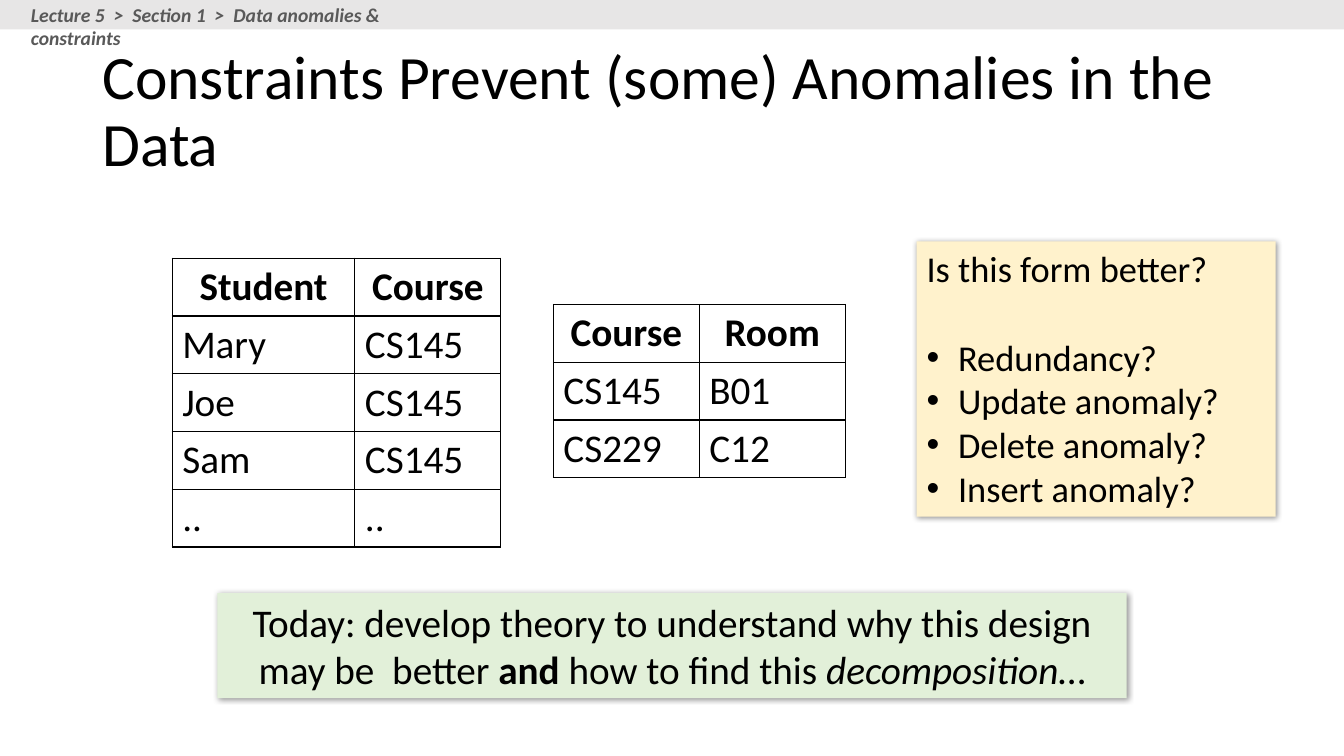
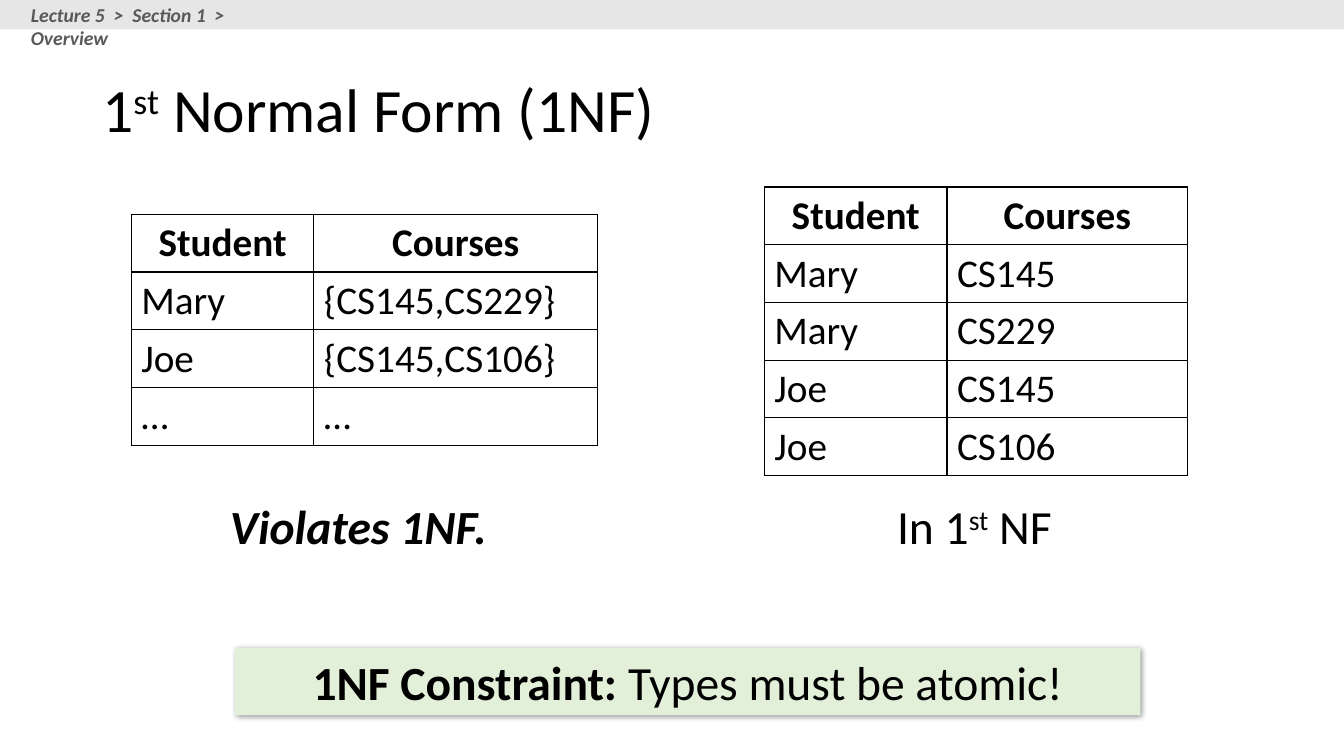
"""Build two lecture slides on data anomalies and first normal form."""
from lxml import etree
from pptx import Presentation
from pptx.dml.color import RGBColor
from pptx.enum.shapes import MSO_SHAPE
from pptx.enum.text import MSO_ANCHOR, PP_ALIGN
from pptx.oxml import parse_xml
from pptx.oxml.ns import nsdecls, qn
from pptx.util import Pt

PX = 9525
SLIDE_W, SLIDE_H = 1280, 720
FONT = "Calibri"
COLORS = {"text": "000000", "crumb": "595959", "band": "E7E6E6",
          "green": "E2F0D9", "yellow": "FFF2CC"}
RECT = MSO_SHAPE.RECTANGLE
LEFT, CENTER = PP_ALIGN.LEFT, PP_ALIGN.CENTER
TOP, MIDDLE = MSO_ANCHOR.TOP, MSO_ANCHOR.MIDDLE
TABLE_SIZE, LABEL_SIZE = 28, 34
ROW_H = 55
BULLET_INDENT = 30


def emu(*lengths):
    """Turn px lengths into EMU."""
    return [length * PX for length in lengths]


def rgb(name):
    """Look up a colour by name."""
    return RGBColor.from_string(COLORS[name])


def style_run(r, size, style="", color="text"):
    """Format a run; style may hold b (bold), i (italic) and ^ (superscript)."""
    r.font.name = FONT
    r.font.size = Pt(size)
    r.font.color.rgb = rgb(color)
    r.font.bold = "b" in style
    r.font.italic = "i" in style
    if "^" in style:
        r.font._element.set("baseline", "30000")


def write(p, runs, size, align=LEFT, color="text"):
    """Fill a paragraph with (text, style) runs."""
    p.alignment = align
    for text, style in runs:
        r = p.add_run()
        r.text = text
        style_run(r, size, style, color)


def add_text(slide, box, runs, size, align=LEFT, color="text", anchor=TOP):
    """Add a wrapped one-paragraph text box."""
    tf = slide.shapes.add_textbox(*emu(*box)).text_frame
    tf.word_wrap = True
    tf.vertical_anchor = anchor
    write(tf.paragraphs[0], runs, size, align, color)
    return tf


def add_rect(slide, box, fill):
    """Add a plain filled rectangle."""
    sp = slide.shapes.add_shape(RECT, *emu(*box))
    sp.shadow.inherit = False
    sp.fill.solid()
    sp.fill.fore_color.rgb = rgb(fill)
    sp.line.fill.background()
    return sp


def add_callout(slide, box, fill, runs, size, align=CENTER):
    """Add a filled box with a soft shadow and text."""
    sp = add_rect(slide, box, fill)
    effects = sp._element.spPr.find(qn("a:effectLst"))
    effects.append(parse_xml(
        f'<a:outerShdw {nsdecls("a")} blurRad="50800" dist="12700" dir="2700000">'
        '<a:srgbClr val="000000"><a:alpha val="40000"/></a:srgbClr></a:outerShdw>'))
    tf = sp.text_frame
    tf.word_wrap = True
    tf.vertical_anchor = TOP
    write(tf.paragraphs[0], runs, size, align)
    return tf


def add_bullets(tf, items, size):
    """Append bulleted paragraphs to a text frame."""
    for item in items:
        p = tf.add_paragraph()
        write(p, [(item, "")], size)
        pPr = p._p.get_or_add_pPr()
        pPr.set("marL", str(BULLET_INDENT * PX))
        pPr.set("indent", str(-BULLET_INDENT * PX))
        etree.SubElement(pPr, qn("a:buFont")).set("typeface", "Arial")
        etree.SubElement(pPr, qn("a:buChar")).set("char", "•")


def add_borders(cell):
    """Draw a 1 pt line on every side of a cell."""
    tcPr = cell._tc.get_or_add_tcPr()
    for side in "LRTB":
        tcPr.append(parse_xml(
            f'<a:ln{side} {nsdecls("a")} w="12700"><a:solidFill>'
            f'<a:srgbClr val="{COLORS["text"]}"/></a:solidFill></a:ln{side}>'))


def add_grid(slide, left, top, widths, rows):
    """Add a ruled table whose first row is a bold centred header."""
    frame = slide.shapes.add_table(
        len(rows), len(widths), *emu(left, top, sum(widths), ROW_H * len(rows)))
    table = frame.table
    table.first_row = table.horz_banding = False
    for column, width in zip(table.columns, widths):
        column.width = width * PX
    for i, row in enumerate(rows):
        for j, text in enumerate(row):
            cell = table.cell(i, j)
            cell.text = text
            add_borders(cell)
            cell.fill.background()
            p = cell.text_frame.paragraphs[0]
            p.alignment = LEFT if i else CENTER
            style_run(p.runs[0], TABLE_SIZE, "" if i else "b")


def add_slide(prs, title, topic, crumb_w):
    """Add a slide with its title, top band and breadcrumb."""
    slide = prs.slides.add_slide(prs.slide_layouts[6])
    tf = add_text(slide, (88, 38, 1104, 139), title, 44, anchor=MIDDLE)
    tf.paragraphs[0].line_spacing = 0.9
    add_rect(slide, (0, 0, SLIDE_W, 28), "band")
    crumb = f"Lecture 5  >  Section 1  >  {topic}"
    add_text(slide, (20, -2, crumb_w, 33), [(crumb, "bi")], 14, color="crumb")
    return slide


def build_constraints(prs):
    """Build the slide on constraints and anomalies."""
    slide = add_slide(prs, [("Constraints Prevent (some) Anomalies in the Data", "")],
                      "Data anomalies & constraints", 433)
    add_grid(slide, 164, 246, (174, 139),
             [("Student", "Course"), ("Mary", "CS145"), ("Joe", "CS145"),
              ("Sam", "CS145"), ("..", "..")])
    add_grid(slide, 527, 290, (139, 139),
             [("Course", "Room"), ("CS145", "B01"), ("CS229", "C12")])
    add_callout(slide, (207, 565, 866, 100), "green",
                [("Today: develop theory to understand why this design may be  better ", ""),
                 ("and", "b"), (" how to find this ", ""),
                 ("decomposition", "i"), ("…", "")], 28)
    tf = add_callout(slide, (873, 230, 342, 262), "yellow",
                     [("Is this form better?", "")], 26, LEFT)
    tf.paragraphs[0].space_after = Pt(32)
    add_bullets(tf, ("Redundancy?", "Update anomaly?", "Delete anomaly?",
                     "Insert anomaly?"), 26)


def build_normal_form(prs):
    """Build the slide on first normal form."""
    slide = add_slide(prs, [("1", ""), ("st", "^"), (" Normal Form (1NF)", "")],
                      "Overview", 280)
    add_grid(slide, 125, 204, (174, 270),
             [("Student", "Courses"), ("Mary", "{CS145,CS229}"),
              ("Joe", "{CS145,CS106}"), ("…", "…")])
    add_grid(slide, 728, 178, (174, 229),
             [("Student", "Courses"), ("Mary", "CS145"), ("Mary", "CS229"),
              ("Joe", "CS145"), ("Joe", "CS106")])
    add_text(slide, (181, 469, 331, 64), [("Violates 1NF. ", "bi")], LABEL_SIZE, CENTER)
    add_text(slide, (833, 469, 190, 64), [("In 1", ""), ("st", "^"), (" NF", "")],
             LABEL_SIZE, CENTER)
    add_callout(slide, (224, 617, 862, 64), "green",
                [("1NF Constraint: ", "b"), ("Types must be atomic!", "")], LABEL_SIZE)


def main():
    """Build and save the deck."""
    prs = Presentation()
    prs.slide_width, prs.slide_height = emu(SLIDE_W, SLIDE_H)
    build_constraints(prs)
    build_normal_form(prs)
    prs.save("out.pptx")


if __name__ == "__main__":
    main()
